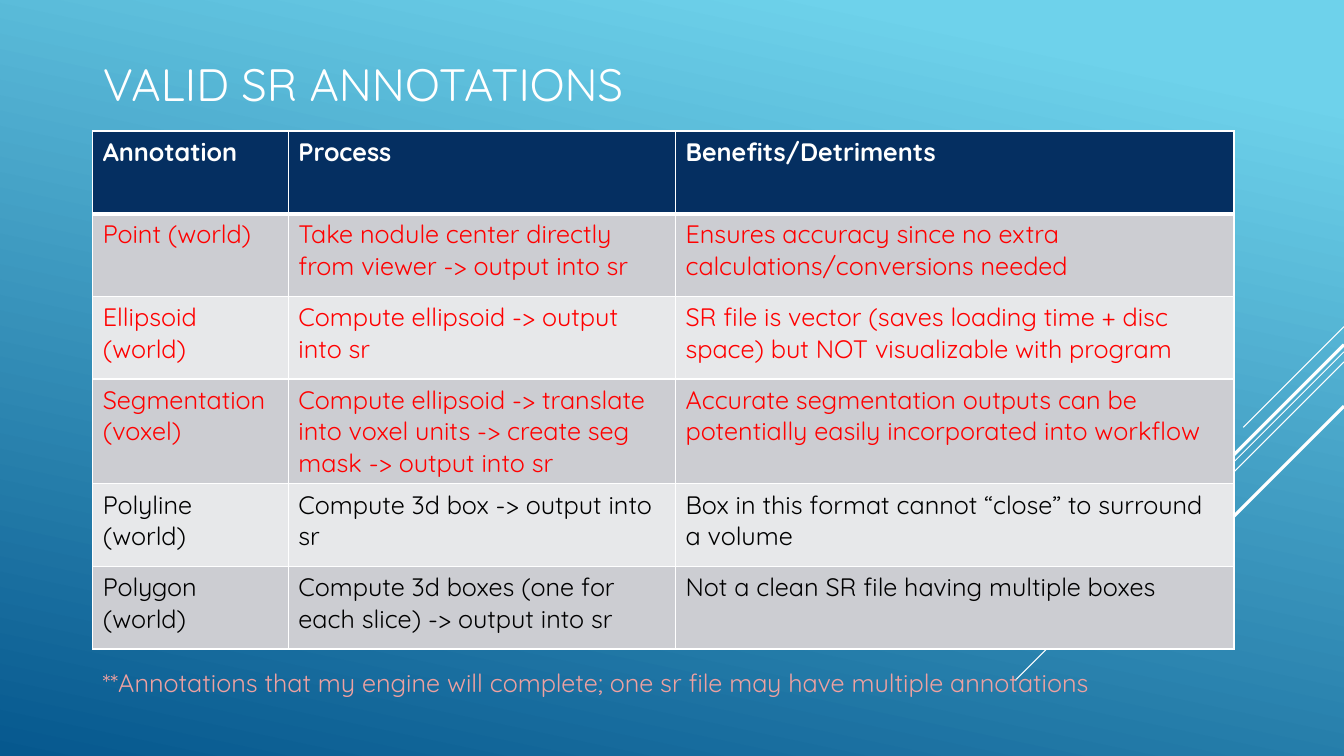
from pptx import Presentation
from pptx.dml.color import RGBColor
from pptx.enum.shapes import MSO_CONNECTOR
from pptx.enum.text import MSO_ANCHOR, MSO_AUTO_SIZE, PP_ALIGN
from pptx.oxml.ns import qn
from pptx.util import Inches, Pt
from lxml import etree

STRAIGHT = MSO_CONNECTOR.STRAIGHT
MIDDLE = MSO_ANCHOR.MIDDLE
LEFT = PP_ALIGN.LEFT
NO_AUTOSIZE = MSO_AUTO_SIZE.NONE

WHITE = RGBColor(0xFF, 0xFF, 0xFF)
BLACK = RGBColor(0x00, 0x00, 0x00)
RED = RGBColor(0xFF, 0x00, 0x00)
PINK = RGBColor(0xEE, 0xA1, 0xA1)
NAVY = RGBColor(0x05, 0x2F, 0x61)
BAND_DARK = RGBColor(0xCC, 0xCD, 0xD2)
BAND_LIGHT = RGBColor(0xE7, 0xE8, 0xEA)
SKY = RGBColor(0x6E, 0xD2, 0xEB)
OCEAN = RGBColor(0x06, 0x58, 0x8E)

FONT = "Quicksand"
SLIDE_WIDTH, SLIDE_HEIGHT = 13.33, 7.5
MARGIN = 0.92
COLUMN_WIDTHS = (1.94, 3.84, 5.54)
ROW_HEIGHT = 0.82
PLANNED_ROWS = 3  # body rows the engine will complete, shown in red

# Diagonal rays: height at the right edge, horizontal reach, line width
RAYS = (
    (3.24, 1.0, 0.75),
    (3.49, 3.26, 0.75),
    (3.59, 2.07, 0.75),
    (3.42, 1.91, 2.25),
    (4.03, 1.39, 2.25),
)

ROWS = (
    ("Annotation", "Process", "Benefits/Detriments"),
    ("Point (world)",
     "Take nodule center directly from viewer -> output into sr",
     "Ensures accuracy since no extra calculations/conversions needed"),
    ("Ellipsoid (world)",
     "Compute ellipsoid -> output into sr",
     "SR file is vector (saves loading time + disc space) but NOT visualizable with program"),
    ("Segmentation (voxel)",
     "Compute ellipsoid -> translate into voxel units -> create seg mask -> output into sr",
     "Accurate segmentation outputs can be potentially easily incorporated into workflow"),
    ("Polyline (world)",
     "Compute 3d box -> output into sr",
     "Box in this format cannot “close” to surround a volume"),
    ("Polygon (world)",
     "Compute 3d boxes (one for each slice) -> output into sr",
     "Not a clean SR file having multiple boxes"),
)


def write(frame, text, size, color, bold=False):
    frame.text = text
    para = frame.paragraphs[0]
    para.alignment = LEFT
    font = para.runs[0].font
    font.name, font.size, font.bold = FONT, Pt(size), bold
    font.color.rgb = color


def paint_background(page):
    fill = page.background.fill
    fill.gradient()
    fill.gradient_angle = 360 - 102  # counter-clockwise
    for stop, color, position in zip(fill.gradient_stops, (SKY, OCEAN), (0.1, 1)):
        stop.color.rgb = color
        stop.position = position


def add_rays(page, right):
    for top, reach, width in RAYS:
        ray = page.shapes.add_connector(
            STRAIGHT, Inches(right), Inches(top),
            Inches(right - reach), Inches(top + reach))
        ray.line.color.rgb = WHITE
        ray.line.width = Pt(width)
        etree.SubElement(ray._element.spPr, qn("a:effectLst"))


def place_title(page, left, top, width, height):
    title = page.shapes.title
    title.left, title.top = Inches(left), Inches(top)
    title.width, title.height = Inches(width), Inches(height)
    frame = title.text_frame
    write(frame, "VALID SR ANNOTATIONS", 32.4, WHITE)
    frame.auto_size = NO_AUTOSIZE
    frame.vertical_anchor = MIDDLE


def set_borders(cell, bottom_width):
    properties = cell._tc.get_or_add_tcPr()
    for side, width in (("L", 1), ("R", 1), ("T", 1), ("B", bottom_width)):
        border = etree.SubElement(properties, qn(f"a:ln{side}"), w=str(Pt(width)))
        fill = etree.SubElement(border, qn("a:solidFill"))
        etree.SubElement(fill, qn("a:srgbClr"), val=str(WHITE))


def add_annotation_table(page, left, top):
    table = page.shapes.add_table(
        len(ROWS), len(COLUMN_WIDTHS), Inches(left), Inches(top),
        Inches(sum(COLUMN_WIDTHS)), Inches(ROW_HEIGHT * len(ROWS))).table
    for column, width in zip(table.columns, COLUMN_WIDTHS):
        column.width = Inches(width)
    for row_index, texts in enumerate(ROWS):
        table.rows[row_index].height = Inches(ROW_HEIGHT)
        header = row_index == 0
        if header:
            fill_color, text_color = NAVY, WHITE
        else:
            fill_color = BAND_DARK if row_index % 2 else BAND_LIGHT
            text_color = RED if row_index <= PLANNED_ROWS else BLACK
        for column_index, text in enumerate(texts):
            cell = table.cell(row_index, column_index)
            write(cell.text_frame, text, 18, text_color, bold=header)
            # The header is set off by a heavier rule
            set_borders(cell, 3 if header else 1)
            cell.fill.solid()
            cell.fill.fore_color.rgb = fill_color


def add_footnote(page, left, top, width, height):
    box = page.shapes.add_textbox(
        Inches(left), Inches(top), Inches(width), Inches(height))
    box.text_frame.word_wrap = True
    write(box.text_frame,
          "**Annotations that my engine will complete; "
          "one sr file may have multiple annotations", 18, PINK)


def main():
    deck = Presentation()
    deck.slide_width = Inches(SLIDE_WIDTH)
    deck.slide_height = Inches(SLIDE_HEIGHT)
    page = deck.slides.add_slide(deck.slide_layouts.get_by_name("Title Only"))
    paint_background(page)
    add_rays(page, SLIDE_WIDTH)
    place_title(page, MARGIN, 0.53, 0.7 * SLIDE_WIDTH, 0.59)
    add_annotation_table(page, MARGIN, 1.3)
    add_footnote(page, MARGIN, 6.57, 11.17, 0.4)
    deck.save("out.pptx")


if __name__ == "__main__":
    main()
